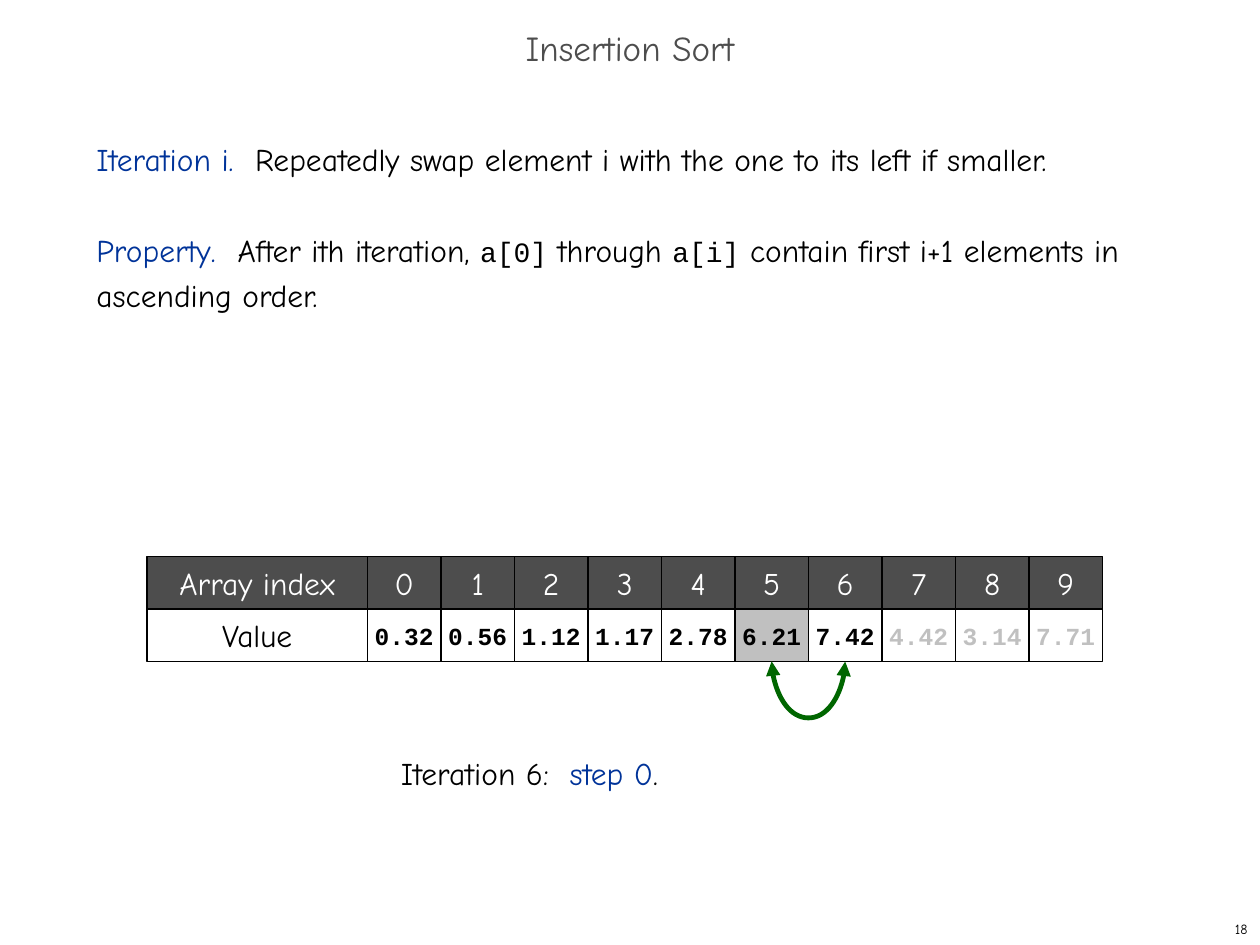
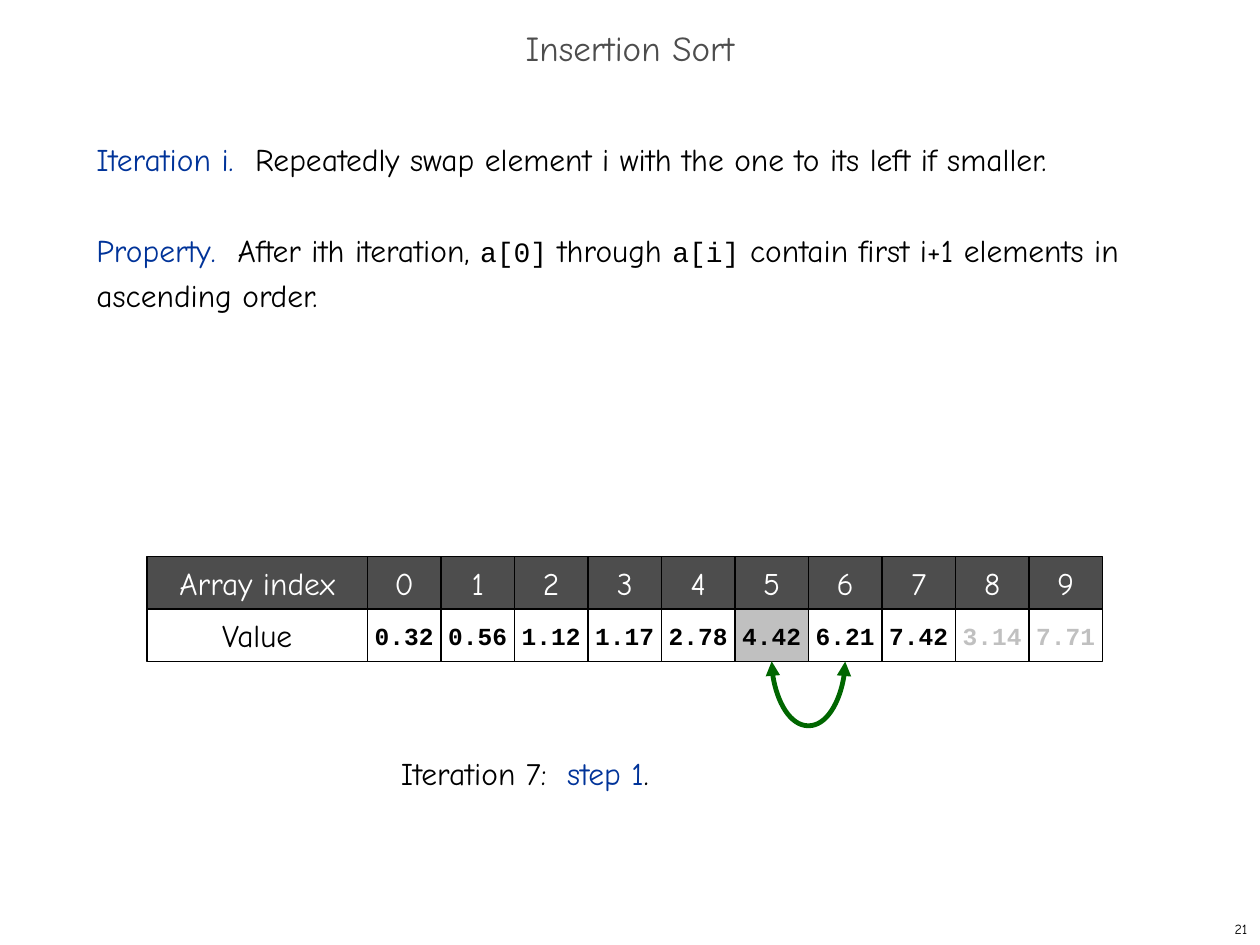
from dataclasses import dataclass

from lxml.etree import SubElement
from pptx import Presentation
from pptx.dml.color import RGBColor
from pptx.enum.shapes import MSO_CONNECTOR, MSO_SHAPE
from pptx.enum.text import MSO_ANCHOR, PP_ALIGN
from pptx.oxml.ns import qn
from pptx.util import Inches, Pt

BODY, CODE = "Comic Neue", "Courier New"
TITLE_ONLY = 5


@dataclass(frozen=True)
class Theme:
    ink: str = "000000"
    paper: str = "FFFFFF"
    accent: str = "003399"
    dark: str = "4D4D4D"
    muted: str = "C0C0C0"
    swap: str = "006600"
    border: float = 0.75
    arrow: float = 2.75
    leading: float = 26


T = Theme()
STYLES = {
    "title": (BODY, 20, T.dark, False),
    "text": (BODY, 18, T.ink, False),
    "term": (BODY, 18, T.accent, False),
    "header": (BODY, 18, T.paper, False),
    "code": (CODE, 16, T.ink, False),
    "sorted": (CODE, 14, T.ink, True),
    "unsorted": (CODE, 14, T.muted, True),
    "page": (BODY, 8, T.ink, False),
}
RULES = [
    ([("Iteration i.", "term"), ("\t", "text"),
      ("Repeatedly swap element i with the one to its left if smaller.", "text")], 1.26),
    ([("Property.", "term"), ("\t", "text"), ("After ith iteration, ", "text"),
      ("a[0]", "code"), (" through ", "text"), ("a[i]", "code"),
      (" contain first i+1 elements in ascending order.", "text")], 1.12),
]
STEPS = [
    {"page": 18, "iteration": 6, "step": 0, "arc": 5.7, "tab": 1.34,
     "values": "0.32 0.56 1.12 1.17 2.78 6.21 7.42 4.42 3.14 7.71".split()},
    {"page": 21, "iteration": 7, "step": 1, "arc": 6.5, "tab": 1.32,
     "values": "0.32 0.56 1.12 1.17 2.78 4.42 6.21 7.42 3.14 7.71".split()},
]
TITLE_BOX = (0, 2, 120, 6)
RULES_BOX = (8, 12, 106, 71)
ARRAY_BOX = (14, 53, 91, 10)
CAPTION_BOX = (37, 71.2, 49, 4.8)
PAGE_BOX = (95, 87, 25, 3)
LABEL_COLS = 21


def grid(n):
    return Inches(n / 12)


def assign(obj, formats):
    for name, value in formats.items():
        setattr(obj, name, value)


def write(p, runs, **formats):
    assign(p, formats)
    for text, style in runs:
        r = p.add_run()
        r.text = text
        name, size, color, bold = STYLES[style]
        assign(r.font, {"name": name, "size": Pt(size), "bold": bold})
        r.font.color.rgb = RGBColor.from_string(color)


def add_tab(p, inches):
    tabs = SubElement(p._p.get_or_add_pPr(), qn("a:tabLst"))
    SubElement(tabs, qn("a:tab"), pos=str(Inches(inches)), algn="l")


def add_box(s, box, anchor=MSO_ANCHOR.TOP):
    tf = s.shapes.add_textbox(*map(grid, box)).text_frame
    assign(tf, {"word_wrap": True, "vertical_anchor": anchor})
    return tf


def place_title(s, box):
    sp = s.shapes.title
    assign(sp, dict(zip(("left", "top", "width", "height"), map(grid, box))))
    sp.text_frame.vertical_anchor = MSO_ANCHOR.MIDDLE
    write(sp.text_frame.paragraphs[0], [("Insertion Sort", "title")],
          alignment=PP_ALIGN.CENTER, line_spacing=0.7)


def place_rules(s, box):
    tf = add_box(s, box)
    for i, (runs, tab) in enumerate(RULES):
        p = tf.add_paragraph() if i else tf.paragraphs[0]
        p.line_spacing = Pt(T.leading)
        if i:
            p.space_before = Pt(T.leading)
        add_tab(p, tab)
        write(p, runs)


def add_cell(s, box, text, style, fill):
    sp = s.shapes.add_shape(MSO_SHAPE.RECTANGLE, *map(grid, box))
    sp.shadow.inherit = False
    sp.fill.solid()
    sp.fill.fore_color.rgb = RGBColor.from_string(fill)
    sp.line.color.rgb = RGBColor.from_string(T.ink)
    sp.line.width = Pt(T.border)
    tf = sp.text_frame
    assign(tf, {"word_wrap": False, "vertical_anchor": MSO_ANCHOR.MIDDLE})
    write(tf.paragraphs[0], [(text, style)], alignment=PP_ALIGN.CENTER)


def place_array(s, box, values, last_sorted, current):
    left, top, width, height = box
    row = height / 2
    col = (width - LABEL_COLS) / len(values)
    add_cell(s, (left, top, LABEL_COLS, row), "Array index", "header", T.dark)
    add_cell(s, (left, top + row, LABEL_COLS, row), "Value", "text", T.paper)
    for i, value in enumerate(values):
        x = left + LABEL_COLS + i * col
        add_cell(s, (x, top, col, row), str(i), "header", T.dark)
        add_cell(s, (x, top + row, col, row), value,
                 "sorted" if i <= last_sorted else "unsorted",
                 T.muted if i == current else T.paper)


def place_swap_arc(s, box, count, current, depth):
    span = (box[2] - LABEL_COLS) / count
    middle = grid(box[0] + LABEL_COLS + (current + 1) * span)
    top, thin = grid(box[1] + box[3] - span / 2), Pt(0.12)
    left = middle - thin // 2
    arc = s.shapes.add_connector(MSO_CONNECTOR.CURVE, left, top, left + thin, top + grid(span))
    arc.line.color.rgb = RGBColor.from_string(T.swap)
    arc.line.width = Pt(T.arrow)
    spPr = arc._element.spPr
    xfrm = spPr.find(qn("a:xfrm"))
    xfrm.set("rot", "16200000")
    xfrm.set("flipH", "1")
    guides = spPr.find(qn("a:prstGeom")).get_or_add_avLst()
    SubElement(guides, qn("a:gd"), name="adj1", fmla=f"val {grid(depth) * 100000 // thin}")
    for end in ("headEnd", "tailEnd"):
        SubElement(spPr.find(qn("a:ln")), qn(f"a:{end}"), type="triangle")
    SubElement(spPr, qn("a:effectLst"))


def place_caption(s, box, iteration, step, tab):
    p = add_box(s, box).paragraphs[0]
    add_tab(p, tab)
    write(p, [(f"Iteration {iteration}:", "text"), ("\t", "text"),
              (f"step {step}", "term"), (".", "text")])


def place_page(s, box, number):
    p = add_box(s, box, MSO_ANCHOR.MIDDLE).paragraphs[0]
    write(p, [(str(number), "page")], alignment=PP_ALIGN.RIGHT)


def add_step_slide(prs, step):
    s = prs.slides.add_slide(prs.slide_layouts[TITLE_ONLY])
    current = step["iteration"] - step["step"] - 1
    place_title(s, TITLE_BOX)
    place_rules(s, RULES_BOX)
    place_array(s, ARRAY_BOX, step["values"], step["iteration"], current)
    place_swap_arc(s, ARRAY_BOX, len(step["values"]), current, step["arc"])
    place_caption(s, CAPTION_BOX, step["iteration"], step["step"], step["tab"])
    place_page(s, PAGE_BOX, step["page"])


def main():
    prs = Presentation()
    assign(prs, {"slide_width": Inches(10), "slide_height": Inches(7.5)})
    for step in STEPS:
        add_step_slide(prs, step)
    prs.save("out.pptx")


if __name__ == "__main__":
    main()
